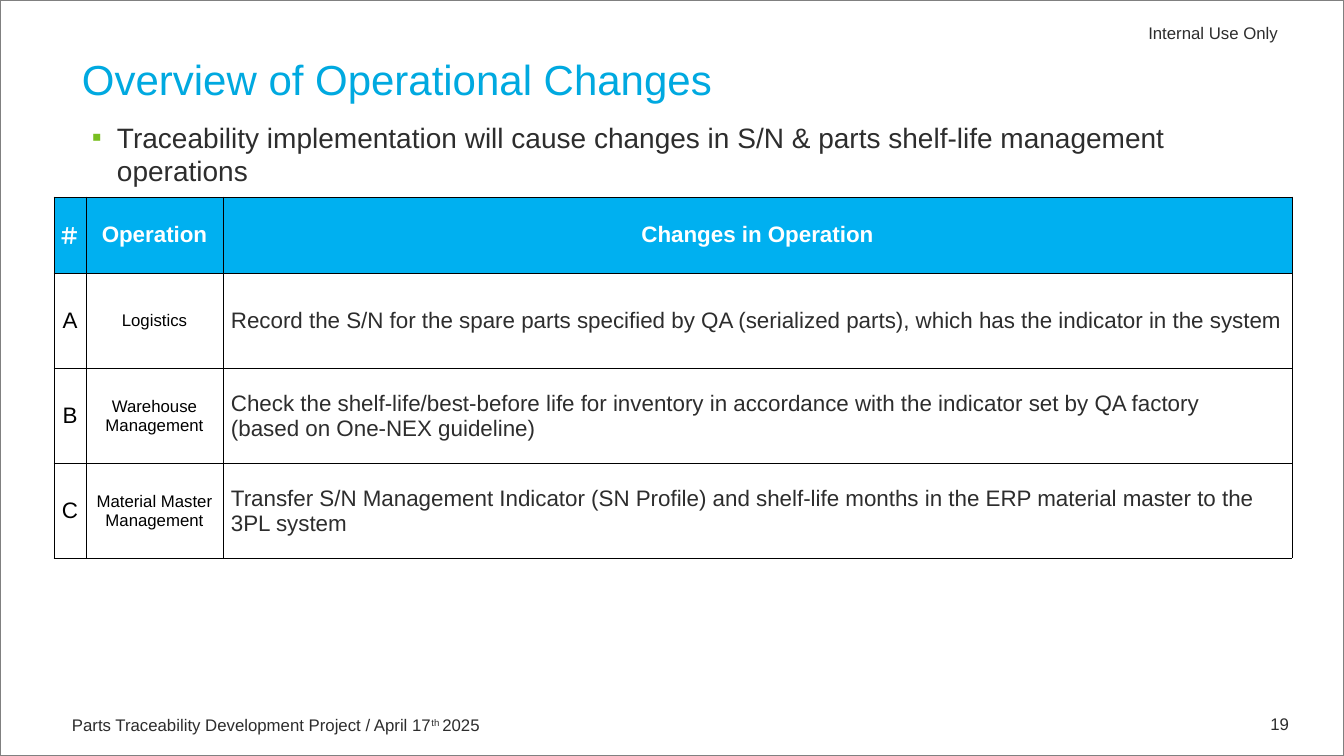
from lxml import etree
from pptx import Presentation
from pptx.dml.color import RGBColor
from pptx.enum.shapes import MSO_SHAPE
from pptx.enum.text import MSO_ANCHOR, MSO_AUTO_SIZE, PP_ALIGN
from pptx.oxml.ns import qn
from pptx.util import Pt

LEFT, CENTER, RIGHT = PP_ALIGN.LEFT, PP_ALIGN.CENTER, PP_ALIGN.RIGHT
TOP, MIDDLE = MSO_ANCHOR.TOP, MSO_ANCHOR.MIDDLE
FONT = "Arial"
COLORS = {
    "title": "00A9E0", "text": "2D2D2D", "bullet": "78BE20", "header": "00B0F0",
    "white": "FFFFFF", "black": "000000", "frame": "808080",
}

TITLE = "Overview of Operational Changes"
BULLET = ("Traceability implementation will cause changes in "
          "S/N & parts shelf-life management operations")
HEADERS = ("＃", "Operation", "Changes in Operation")
OPERATIONS = [
    ("A", "Logistics",
     "Record the S/N for the spare parts specified by QA (serialized parts), "
     "which has the indicator in the system"),
    ("B", "Warehouse Management",
     "Check the shelf-life/best-before life for inventory in accordance with "
     "the indicator set by QA factory\n(based on One-NEX guideline)"),
    ("C", "Material Master Management",
     "Transfer S/N Management Indicator (SN Profile) and shelf-life months "
     "in the ERP material master to the 3PL system"),
]
# text runs with their baseline shift, box in px, alignment, insets in px
MARGIN_TEXTS = [
    ([("Parts Traceability Development Project / April 17", 0), ("th ", 30000), ("2025", 0)],
     (72, 712, 551, 26), LEFT, (0, 0, 2, 1)),
    ([("Internal Use Only", 0)], (952, 20, 328, 26), RIGHT, (0, 0, 2, 1)),
    ([("19", 0)], (1244, 709, 55, 29), RIGHT, (10, 5, 10, 5)),
]
SLIDE_SIZE = (1344, 756)
TITLE_BOX = (72, 50, 1204, 57)
BODY_BOX = (82, 115, 1203, 76)
TABLE_ORIGIN = (54, 197)
COLUMN_WIDTHS = (32, 137, 1069)
ROW_HEIGHTS = (76, 95, 95, 95)
HEADER_INSETS, CELL_INSETS = (4, 4, 4, 4), (8, 1, 8, 0)
# size, color and alignment of each column below the header
COLUMN_STYLES = [(16, "black", CENTER), (12, "black", CENTER), (16, "text", LEFT)]


def px(length):
    return round(length * 914400 / 100.8)


def rgb(name):
    return RGBColor.from_string(COLORS[name])


def set_all(target, values):
    for name, value in values.items():
        setattr(target, name, value)


def set_font(font, size, color, bold=False):
    set_all(font, {"name": FONT, "size": Pt(size), "bold": bold})
    font.color.rgb = rgb(color)


def set_insets(target, insets):
    sides = ("margin_left", "margin_top", "margin_right", "margin_bottom")
    set_all(target, dict(zip(sides, map(px, insets))))


def place(shape, box):
    set_all(shape, dict(zip(("left", "top", "width", "height"), map(px, box))))


def fill_placeholder(shape, text, box, anchor, size, color):
    place(shape, box)
    frame = shape.text_frame
    frame.text = text
    set_all(frame, {"word_wrap": True, "auto_size": MSO_AUTO_SIZE.NONE, "vertical_anchor": anchor})
    set_insets(frame, (10, 5, 10, 5))
    paragraph = frame.paragraphs[0]
    set_all(paragraph, {"alignment": LEFT, "space_before": Pt(0)})
    set_font(paragraph.runs[0].font, size, color)
    return paragraph


def add_bullet(paragraph):
    properties = paragraph._p.get_or_add_pPr()
    properties.set("marL", str(px(25)))
    properties.set("indent", str(px(-25)))
    color = etree.SubElement(properties, qn("a:buClr"))
    etree.SubElement(color, qn("a:srgbClr"), val=COLORS["bullet"])
    etree.SubElement(properties, qn("a:buFont"), typeface=FONT)
    etree.SubElement(properties, qn("a:buChar"), char="▪")


def add_margin_text(slide, runs, box, alignment, insets):
    frame = slide.shapes.add_textbox(*map(px, box)).text_frame
    set_all(frame, {"word_wrap": True, "vertical_anchor": MIDDLE})
    set_insets(frame, insets)
    paragraph = frame.paragraphs[0]
    paragraph.alignment = alignment
    for text, baseline in runs:
        run = paragraph.add_run()
        run.text = text
        set_font(run.font, 12, "text")
        if baseline:
            run.font._element.set("baseline", str(baseline))


def set_borders(cell):
    properties = cell._tc.get_or_add_tcPr()
    for index, side in enumerate(("lnL", "lnR", "lnT", "lnB")):
        line = etree.Element(qn(f"a:{side}"), w=str(Pt(0.5)))
        fill = etree.SubElement(line, qn("a:solidFill"))
        etree.SubElement(fill, qn("a:srgbClr"), val=COLORS["black"])
        properties.insert(index, line)


def fill_cell(cell, text, is_header, size, color, alignment):
    cell.fill.solid()
    cell.fill.fore_color.rgb = rgb("header" if is_header else "white")
    set_borders(cell)
    cell.vertical_anchor = MIDDLE
    set_insets(cell, HEADER_INSETS if is_header else CELL_INSETS)
    paragraph = cell.text_frame.paragraphs[0]
    paragraph.text = text
    paragraph.alignment = alignment
    for run in paragraph.runs:
        set_font(run.font, size, color, is_header)


def add_operations_table(slide):
    rows = [HEADERS, *OPERATIONS]
    size = (sum(COLUMN_WIDTHS), sum(ROW_HEIGHTS))
    table = slide.shapes.add_table(
        len(rows), len(HEADERS), *map(px, TABLE_ORIGIN + size)).table
    for column, width in zip(table.columns, COLUMN_WIDTHS):
        column.width = px(width)
    for row, height in zip(table.rows, ROW_HEIGHTS):
        row.height = px(height)
    for row_index, texts in enumerate(rows):
        is_header = row_index == 0
        for column_index, text in enumerate(texts):
            style = (16, "white", CENTER) if is_header else COLUMN_STYLES[column_index]
            fill_cell(table.cell(row_index, column_index), text, is_header, *style)


def main():
    presentation = Presentation()
    presentation.slide_width, presentation.slide_height = map(px, SLIDE_SIZE)
    slide = presentation.slides.add_slide(presentation.slide_layouts[1])

    frame = slide.shapes.add_shape(MSO_SHAPE.RECTANGLE, 0, 0, *map(px, SLIDE_SIZE))
    frame.shadow.inherit = False
    frame.fill.background()
    frame.line.color.rgb = rgb("frame")
    frame.line.width = Pt(1)

    for margin_text in MARGIN_TEXTS:
        add_margin_text(slide, *margin_text)
    fill_placeholder(slide.shapes.title, TITLE, TITLE_BOX, MIDDLE, 30, "title")
    add_bullet(fill_placeholder(slide.placeholders[1], BULLET, BODY_BOX, TOP, 20, "text"))
    add_operations_table(slide)
    presentation.save("out.pptx")


if __name__ == "__main__":
    main()
